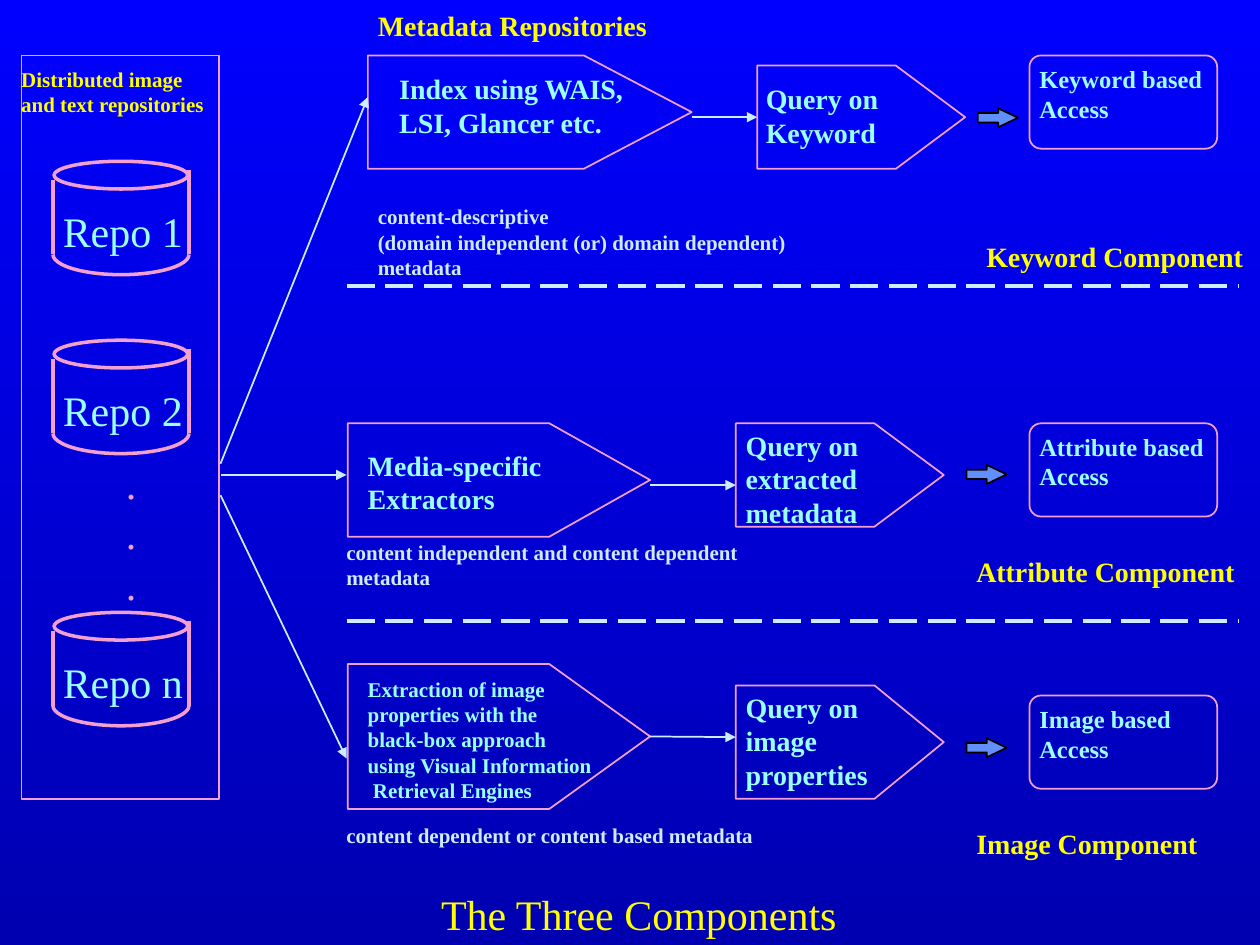
"""Build the slide on the three metadata components."""
from dataclasses import dataclass
from typing import NamedTuple

from lxml import etree
from pptx import Presentation
from pptx import util as u
from pptx.dml.color import RGBColor
from pptx.enum import dml, shapes, text
from pptx.oxml import ns


@dataclass(frozen=True)
class Theme:
    """Colours, font and type sizes."""
    font: str = "Times New Roman"
    top: str = "0000FF"
    bottom: str = "0000B1"
    heading: str = "FFFF00"
    outline: str = "F39FD1"
    label: str = "99FFFF"
    note: str = "CCECFF"
    arrow: str = "618FFD"
    arrow_edge: str = "000000"
    display: int = 24
    head: int = 16
    access: int = 14
    small: int = 12
    thin: int = 1
    thick: int = 2


class Box(NamedTuple):
    """Left, top, width and height in inches."""
    left: float
    top: float
    width: float
    height: float

    @property
    def middle(self) -> float:
        """Return the vertical centre."""
        return self.top + self.height / 2


class Caption(NamedTuple):
    """Text with its box, size and colour."""
    words: str
    box: Box
    size: int
    color: str
    bold: bool = True


class Component(NamedTuple):
    """One row of the diagram."""
    source: Box
    source_text: Caption
    query: Box
    query_text: Caption
    access_top: float
    access_text: str
    access_width: float
    block_arrow: tuple[float, float]
    inlet: tuple[float, float, float, float]
    flow_y: float
    name: Caption
    note: Caption


THEME = Theme()
KIND = shapes.MSO_SHAPE


def source_caption(words: str, box: Box, size: int = THEME.head) -> Caption:
    """Describe the words inside a pentagon."""
    return Caption(words, box, size, THEME.label)


def heading(words: str, box: Box) -> Caption:
    """Describe a yellow heading."""
    return Caption(words, box, THEME.head, THEME.heading)


def note(words: str, box: Box) -> Caption:
    """Describe a metadata note."""
    return Caption(words, box, THEME.small, THEME.note)


COMPONENTS = [
    Component(
        Box(2.92, 0.44, 2.57, 0.9),
        source_caption("Index using WAIS,\nLSI, Glancer etc.", Box(3.07, 0.52, 2.01, 0.63)),
        Box(6.01, 0.52, 1.65, 0.82),
        source_caption("Query on\nKeyword", Box(5.98, 0.6, 1.1, 0.63)),
        0.44, "Keyword based\nAccess", 1.5, (7.76, 0.86), (1.75, 3.68, 2.92, 0.77), 0.93,
        heading("Keyword Component", Box(7.73, 1.85, 2.24, 0.37)),
        note("content-descriptive\n(domain independent (or) domain dependent)\nmetadata",
             Box(2.9, 1.57, 3.44, 0.7))),
    Component(
        Box(2.76, 3.36, 2.4, 0.9),
        source_caption("Media-specific\nExtractors", Box(2.82, 3.51, 1.58, 0.63)),
        Box(5.84, 3.36, 1.65, 0.82),
        source_caption("Query on\nextracted\nmetadata", Box(5.82, 3.35, 1.15, 0.9)),
        3.36, "Attribute based\nAccess", 1.51, (7.67, 3.69), (1.75, 3.77, 2.75, 3.77), 3.85,
        heading("Attribute Component", Box(7.65, 4.35, 2.25, 0.37)),
        note("content independent and content dependent\nmetadata", Box(2.65, 4.23, 3.31, 0.5))),
    Component(
        Box(2.76, 5.27, 2.4, 1.15),
        source_caption("Extraction of image\nproperties with the\nblack-box approach\n"
                       "using Visual Information\n Retrieval Engines",
                       Box(2.82, 5.32, 1.99, 1.1), THEME.small),
        Box(5.84, 5.44, 1.65, 0.9),
        source_caption("Query on\nimage\nproperties", Box(5.82, 5.43, 1.17, 0.9)),
        5.52, "Image based\nAccess", 1.25, (7.67, 5.86), (1.75, 3.93, 2.75, 6.02), 5.85,
        heading("Image Component", Box(7.65, 6.51, 1.96, 0.37)),
        note("content dependent or content based metadata", Box(2.65, 6.48, 3.44, 0.3))),
]
REPOSITORIES = {"Repo 1": 1.28, "Repo 2": 2.7, "Repo n": 4.86}


def color(value: str) -> RGBColor:
    """Turn a hex string into a colour."""
    return RGBColor.from_string(value)


def write(shape, caption: Caption) -> None:
    """Place and format text in a text box or placeholder."""
    shape.left, shape.top, shape.width, shape.height = map(u.Inches, caption.box)
    frame = shape.text_frame
    frame.text = caption.words
    frame.word_wrap = False
    frame.auto_size = text.MSO_AUTO_SIZE.SHAPE_TO_FIT_TEXT
    frame.vertical_anchor = text.MSO_ANCHOR.TOP
    for paragraph in frame.paragraphs:
        paragraph.alignment = text.PP_ALIGN.LEFT
        for run in paragraph.runs:
            run.font.name = THEME.font
            run.font.size = u.Pt(caption.size)
            run.font.bold = caption.bold
            run.font.color.rgb = color(caption.color)


def add_text(slide, caption: Caption) -> None:
    """Add a text box."""
    write(slide.shapes.add_textbox(*map(u.Inches, caption.box)), caption)


def add_outline(slide, kind, box: Box, adjustments=(), width=THEME.thin,
                line=THEME.outline, fill=None):
    """Add a preset shape, unfilled unless a fill is given."""
    shape = slide.shapes.add_shape(kind, *map(u.Inches, box))
    shape.shadow.inherit = False
    for index, value in enumerate(adjustments):
        shape.adjustments[index] = value
    if fill:
        shape.fill.solid()
        shape.fill.fore_color.rgb = color(fill)
    else:
        shape.fill.background()
    shape.line.color.rgb = color(line)
    shape.line.width = u.Pt(width)
    return shape


def add_line(slide, ends, line=THEME.note, width=THEME.thin, arrow=False, dash=None):
    """Add a straight connector."""
    connector = slide.shapes.add_connector(shapes.MSO_CONNECTOR.STRAIGHT, *map(u.Inches, ends))
    connector.line.color.rgb = color(line)
    connector.line.width = u.Pt(width)
    if dash:
        connector.line.dash_style = dash
    if arrow:
        etree.SubElement(connector.line._get_or_add_ln(), ns.qn("a:tailEnd"), type="triangle")
    etree.SubElement(connector._element.spPr, ns.qn("a:effectLst"))
    return connector


def add_repository(slide, name: str, top: float) -> None:
    """Draw a labelled storage cylinder."""
    base = top + 0.74
    add_outline(slide, KIND.OVAL, Box(0.43, top, 1.06, 0.22), width=THEME.thick)
    for x, start in ((0.42, top + 0.15), (1.5, top + 0.07)):
        add_line(slide, (x, start, x, base), THEME.outline, THEME.thick)
    half_turn = 180 * 60000 / 100000
    add_outline(slide, KIND.ARC, Box(0.42, base - 0.16, 1.08, 0.32), (0, half_turn), THEME.thick)
    add_text(slide, Caption(name, Box(0.4, top + 0.3, 1.16, 0.5), THEME.display, THEME.label, False))


def add_pentagon(slide, box: Box):
    """Draw a pentagon whose point takes a third of its width."""
    return add_outline(slide, KIND.PENTAGON, box, (box.width / 3 / box.height,))


def add_component(slide, row: Component) -> None:
    """Draw one row from its source to its kind of access."""
    source, query = add_pentagon(slide, row.source), add_pentagon(slide, row.query)
    add_line(slide, row.inlet, arrow=True)
    tip = row.source.left + row.source.width
    flow = add_line(slide, (tip, row.flow_y, row.query.left, row.flow_y), arrow=True)
    if abs(row.source.middle - row.flow_y) < 0.01:
        flow.begin_connect(source, 3)
    if abs(row.query.middle - row.flow_y) < 0.01:
        flow.end_connect(query, 1)
    add_outline(slide, KIND.ROUNDED_RECTANGLE, Box(8.17, row.access_top, 1.49, 0.74), (0.125,))
    access = Box(8.15, row.access_top + 0.02, row.access_width, 0.57)
    add_outline(slide, KIND.RIGHT_ARROW, Box(*row.block_arrow, 0.32, 0.15), (0.5, 1.05),
                line=THEME.arrow_edge, fill=THEME.arrow)
    for caption in (row.source_text, row.query_text, row.name, row.note,
                    Caption(row.access_text, access, THEME.access, THEME.label)):
        add_text(slide, caption)


def main() -> None:
    """Build and save the presentation."""
    presentation = Presentation()
    presentation.slide_width, presentation.slide_height = u.Inches(10), u.Inches(7.5)
    slide = presentation.slides.add_slide(presentation.slide_layouts[5])
    background = slide.background.fill
    background.gradient()
    background.gradient_angle = 270
    for stop, value in zip(background.gradient_stops, (THEME.top, THEME.bottom)):
        stop.color.rgb = color(value)
    write(slide.shapes.title, Caption("The Three Components", Box(3.4, 7, 3.35, 0.5),
                                      THEME.display, THEME.heading, False))
    add_outline(slide, KIND.RECTANGLE, Box(0.17, 0.44, 1.57, 5.9))
    add_text(slide, Caption("Distributed image\nand text repositories", Box(0.07, 0.48, 1.66, 0.5),
                            THEME.small, THEME.heading))
    for name, top in REPOSITORIES.items():
        add_repository(slide, name, top)
    add_text(slide, Caption(".\n.\n.", Box(0.9, 3.58, 0.29, 1.3), THEME.display, THEME.outline, False))
    add_text(slide, heading("Metadata Repositories", Box(2.9, 0.02, 2.34, 0.37)))
    for row in COMPONENTS:
        add_component(slide, row)
    for y in (2.27, 4.93):
        add_line(slide, (2.75, y, 9.83, y), width=THEME.thick, dash=dml.MSO_LINE.LONG_DASH)
    presentation.save("out.pptx")


if __name__ == "__main__":
    main()
